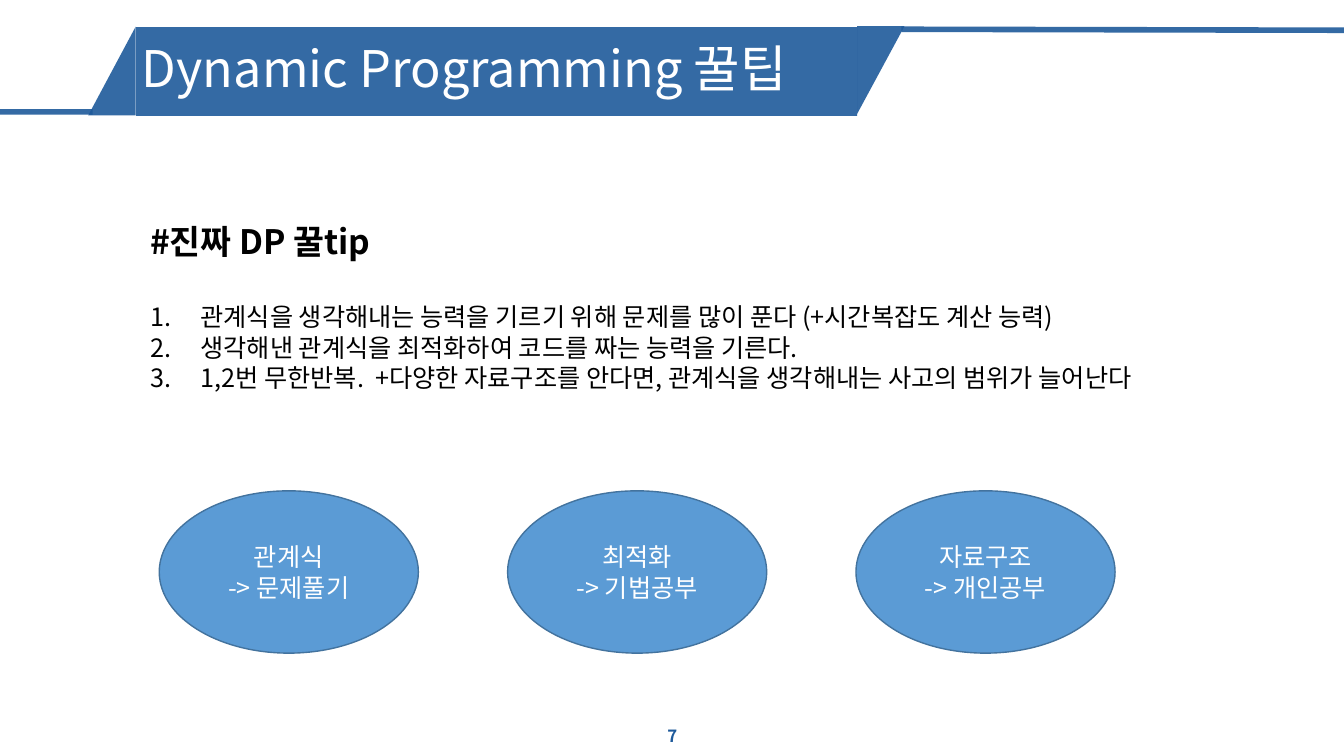
from dataclasses import dataclass

from pptx import Presentation, util as u
from pptx.dml.color import RGBColor
from pptx.enum import shapes, text
from pptx.oxml.ns import qn

FONT = "Noto Sans CJK KR"
COLOURS = {
    "band": "1E5A9B",
    "ellipse": "5B9BD5",
    "outline": "43739E",
    "white": "FFFFFF",
    "black": "000000",
}
SLIDE_WIDTH, SLIDE_HEIGHT = u.Inches(13.33), u.Inches(7.5)
BAND_ALPHA = 90


@dataclass(frozen=True)
class Box:
    """Left, top, width and height in percent of the slide's size."""
    left: float
    top: float
    width: float
    height: float

    def lengths(self) -> tuple:
        return (across(self.left), down(self.top), across(self.width), down(self.height))


@dataclass(frozen=True)
class BandPart:
    kind: shapes.MSO_SHAPE
    box: Box
    rotation: float = 0


@dataclass(frozen=True)
class Rule:
    start: tuple
    end: tuple


@dataclass(frozen=True)
class Style:
    size: float
    colour: str
    bold: bool = False
    align: text.PP_ALIGN = text.PP_ALIGN.LEFT


BAND_PARTS = [
    BandPart(shapes.MSO_SHAPE.RIGHT_TRIANGLE, Box(62.27, 6.13, 6.53, 6.27), 90),
    BandPart(shapes.MSO_SHAPE.RIGHT_TRIANGLE, Box(5.03, 6.27, 6.6, 6.27), 270),
    BandPart(shapes.MSO_SHAPE.RECTANGLE, Box(10.13, 3.6, 53.64, 11.73)),
]
RULES = [Rule((6.9, 14.8), (-0.2, 14.8)), Rule((100, 4), (67.07, 3.87))]
TIPS = [
    "관계식을 생각해내는 능력을 기르기 위해 문제를 많이 푼다 (+시간복잡도 계산 능력)",
    "생각해낸 관계식을 최적화하여 코드를 짜는 능력을 기른다.",
    "1,2번 무한반복.  +다양한 자료구조를 안다면, 관계식을 생각해내는 사고의 범위가 늘어난다",
]
STEPS = [("관계식", "-> 문제풀기"), ("최적화", "-> 기법공부"), ("자료구조", "-> 개인공부")]
FIRST_ELLIPSE = Box(11.85, 64.93, 19.28, 21.47)
ELLIPSE_PITCH = 25.92


def across(percent: float) -> int:
    return int(SLIDE_WIDTH * percent / 100)


def down(percent: float) -> int:
    return int(SLIDE_HEIGHT * percent / 100)


def colour(name: str) -> RGBColor:
    return RGBColor.from_string(COLOURS[name])


def make_translucent(element) -> None:
    for colour_element in element.iter(qn("a:srgbClr")):
        alpha = colour_element.makeelement(qn("a:alpha"), {"val": str(BAND_ALPHA * 1000)})
        colour_element.append(alpha)


def write(frame, lines, style: Style) -> list:
    """Add one paragraph a line, starting with the empty first one."""
    paragraphs = []
    for line in lines:
        first = frame.paragraphs[0]
        paragraph = first if not first.runs else frame.add_paragraph()
        paragraph.add_run().text = line
        paragraph.alignment = style.align
        font = paragraph.font
        font.name, font.size, font.bold = FONT, u.Pt(style.size), style.bold
        font.color.rgb = colour(style.colour)
        properties = font._element
        properties.find(qn("a:latin")).addnext(
            properties.makeelement(qn("a:ea"), {"typeface": FONT}))
        paragraphs.append(paragraph)
    return paragraphs


def add_text_frame(slide, box: Box, anchor):
    frame = slide.shapes.add_textbox(*box.lengths()).text_frame
    frame.word_wrap = True
    frame.vertical_anchor = anchor
    return frame


def add_band_part(slide, part: BandPart) -> None:
    shape = slide.shapes.add_shape(part.kind, *part.box.lengths())
    shape.rotation = part.rotation
    shape.shadow.inherit = False
    shape.fill.solid()
    shape.fill.fore_color.rgb = colour("band")
    shape.line.fill.background()
    make_translucent(shape._element.spPr)


def add_rule(slide, rule: Rule) -> None:
    connector = slide.shapes.add_connector(
        shapes.MSO_CONNECTOR.STRAIGHT, across(rule.start[0]), down(rule.start[1]),
        across(rule.end[0]), down(rule.end[1]))
    connector.line.color.rgb = colour("band")
    connector.line.width = u.Pt(4)
    properties = connector._element.spPr
    make_translucent(properties)
    properties.append(properties.makeelement(qn("a:effectLst"), {}))


def add_ellipse(slide, box: Box, lines) -> None:
    shape = slide.shapes.add_shape(shapes.MSO_SHAPE.OVAL, *box.lengths())
    shape.shadow.inherit = False
    shape.fill.solid()
    shape.fill.fore_color.rgb = colour("ellipse")
    shape.line.color.rgb = colour("outline")
    shape.line.width = u.Pt(1)
    shape.text_frame.vertical_anchor = text.MSO_ANCHOR.MIDDLE
    write(shape.text_frame, lines, Style(18, "white", align=text.PP_ALIGN.CENTER))


def number(paragraph) -> None:
    properties = paragraph._p.get_or_add_pPr()
    indent = u.Inches(0.5)
    properties.set("marL", str(indent))
    properties.set("indent", str(-indent))
    properties.insert_element_before(
        properties.makeelement(qn("a:buAutoNum"), {"type": "arabicPeriod"}),
        "a:tabLst", "a:defRPr", "a:extLst")


def main() -> None:
    presentation = Presentation()
    presentation.slide_width, presentation.slide_height = SLIDE_WIDTH, SLIDE_HEIGHT
    slide = presentation.slides.add_slide(presentation.slide_layouts[6])

    # Title band
    for part in BAND_PARTS:
        add_band_part(slide, part)
    for rule in RULES:
        add_rule(slide, rule)
    frame = add_text_frame(slide, Box(9.83, 4, 53.64, 10.8), text.MSO_ANCHOR.MIDDLE)
    title, = write(frame, ["Dynamic Programming 꿀팁"], Style(36, "white"))
    title.line_spacing = 0.9

    # Slide number
    frame = add_text_frame(slide, Box(38.78, 94.67, 22.5, 5.33), text.MSO_ANCHOR.MIDDLE)
    write(frame, ["7"], Style(12, "band", True, text.PP_ALIGN.CENTER))

    # Heading and numbered tips
    frame = add_text_frame(slide, Box(10.43, 28.53, 83.2, 32.27), text.MSO_ANCHOR.TOP)
    heading, = write(frame, ["#진짜 DP 꿀tip"], Style(24, "black", True))
    heading.space_after = u.Pt(29)
    for tip in write(frame, TIPS, Style(18, "black")):
        number(tip)

    # Three steps
    for index, lines in enumerate(STEPS):
        box = Box(FIRST_ELLIPSE.left + index * ELLIPSE_PITCH, FIRST_ELLIPSE.top,
                  FIRST_ELLIPSE.width, FIRST_ELLIPSE.height)
        add_ellipse(slide, box, lines)

    presentation.save("out.pptx")


if __name__ == "__main__":
    main()
